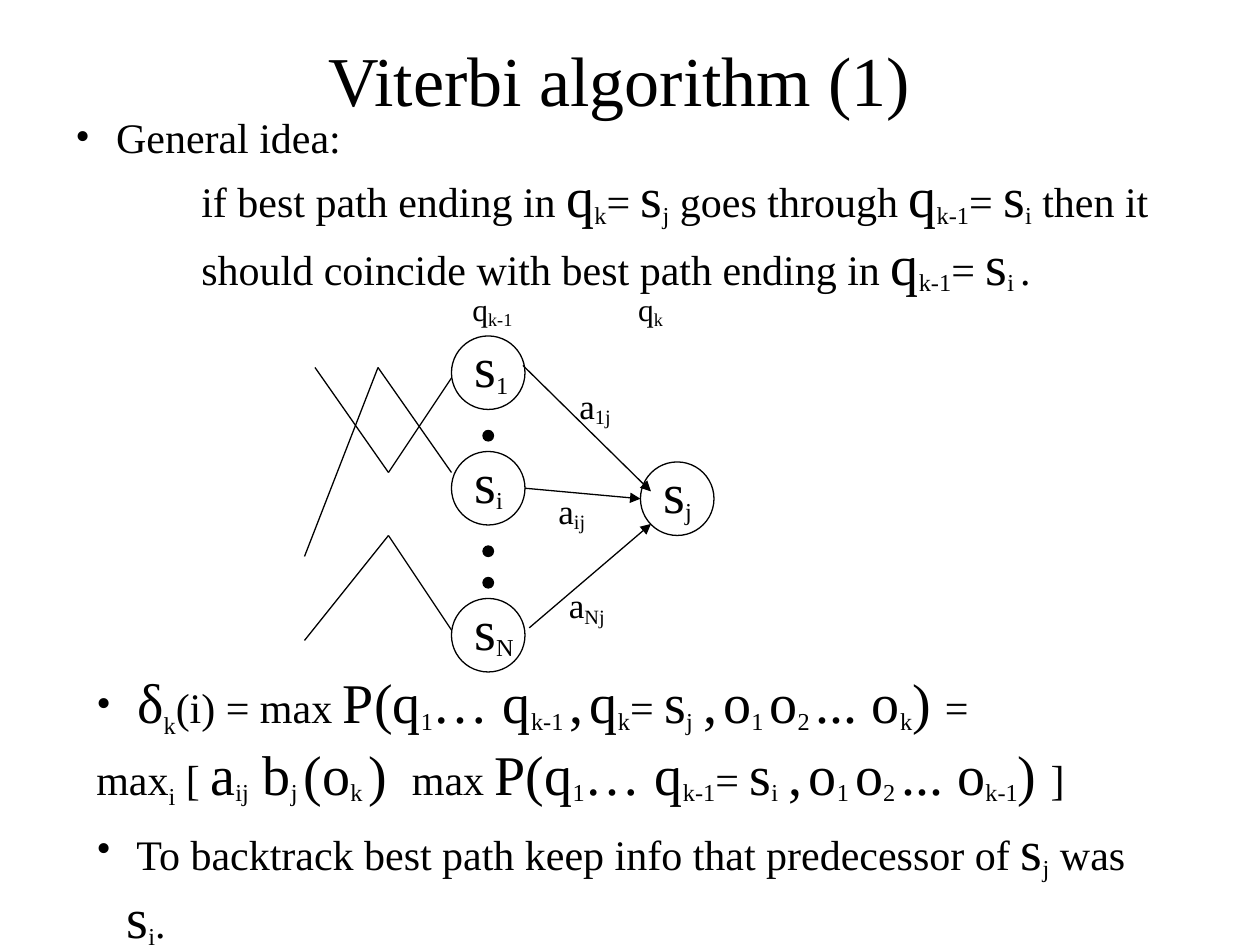
from pptx import Presentation
from pptx.dml.color import RGBColor
from pptx.enum.shapes import MSO_CONNECTOR, MSO_SHAPE
from pptx.enum.text import MSO_ANCHOR, PP_ALIGN
from pptx.oxml.ns import qn
from pptx.util import Inches, Pt
from lxml.etree import SubElement

deck = Presentation()
deck.slide_width, deck.slide_height = Inches(10), Inches(7.5)
slide = deck.slides.add_slide(deck.slide_layouts[6])
shapes = slide.shapes
unit = deck.slide_width / 120
hues = {"ink": "000000"}
ink = RGBColor.from_string(hues["ink"])
face = "Times New Roman"
marks = {"^": (32, 0), "_": (None, -16), "~": (None, -25)}
indents = {"•": (0.24, -0.24), ">": (1, 0)}


def grid(*cells):
    return [round(cell * unit) for cell in cells]


def write(box, lines, size=24, wrap=True):
    frame = shapes.add_textbox(*grid(*box)).text_frame
    frame.word_wrap = wrap
    for row, line in enumerate(lines):
        para = frame.add_paragraph() if row else frame.paragraphs[0]
        para.font.name = face
        para.font.color.rgb = ink
        if line[0] in indents:
            left, first = indents[line[0]]
            props = para._p.get_or_add_pPr()
            props.set("marL", str(Inches(left)))
            props.set("indent", str(Inches(first)))
            if line[0] == "•":
                font = SubElement(props, qn("a:buFont"))
                font.set("typeface", face)
                bullet = SubElement(props, qn("a:buChar"))
                bullet.set("char", "•")
                props.insert(0, font)
                props.insert(1, bullet)
            line = line[1:]
        for part in line.split("|"):
            big, drop = marks.get(part[0], (None, 0))
            run = para.add_run()
            run.text = part[1:] if part[0] in marks else part
            run.font.size = Pt(big or size)
            if drop:
                run.font._element.set("baseline", str(drop * 1000))
    return frame


write((6, 10, 109.2, 18.8), [
    "• General idea:",
    ">if best path ending in |^q|_k|= |^s|_j| goes through |^q|_k-1|= |^s|_i| then it "
    "should coincide with best path ending in |^q|_k-1|= |^s|_i |.",
])

states = [(43, 32, 5.9, "1"), (43, 43, 5.3, "i"), (43, 57, 6.4, "N"), (61, 44, 5.3, "j")]
rings = [(x, y, 7) for x, y, wide, sub in states]
dots = [(46, y, 1) for y in (41, 52, 55)]
for x, y, side in rings + dots:
    disc = shapes.add_shape(MSO_SHAPE.OVAL, *grid(x, y, side, side))
    disc.shadow.inherit = False
    disc.line.color.rgb = ink
    disc.line.width = Pt(0.75)
    if side == 1:
        disc.fill.solid()
        disc.fill.fore_color.rgb = ink
    else:
        disc.fill.background()
for x, y, wide, sub in states:
    write((x + 1, y - 1, wide, 7.6), [f"^s|_{sub}"], wrap=False)

arrows = [(49.8, 34.8, 62, 46.8), (50, 46.5, 61, 47.5), (50.4, 59.8, 62, 49.9)]
paths = [
    [(43, 36), (37, 45), (30, 35)],
    [(43, 45), (36, 35), (29, 53)],
    [(43, 60), (37, 51), (29, 61)],
]
edges = [(*start, *end) for path in paths for start, end in zip(path, path[1:])]
for ends in arrows + edges:
    edge = shapes.add_connector(MSO_CONNECTOR.STRAIGHT, *grid(*ends))
    edge.line.color.rgb = ink
    edge.line.width = Pt(0.75)
    props = edge._element.spPr
    if ends in arrows:
        SubElement(props.find(qn("a:ln")), qn("a:tailEnd")).set("type", "triangle")
    SubElement(props, qn("a:effectLst"))

for x, y, wide, sub in [(52, 46, 5.2, "ij"), (53, 55, 6.1, "Nj"), (54, 36, 5.6, "1j")]:
    write((x, y, wide, 5.2), [f"a|_{sub}"], 20, False)
for x, sub in [(43.8, "k-1"), (59.6, "k")]:
    write((x, 27, 10, 4.8), [f"q|_{sub}"], 18)

write((8, 63, 108, 14), [
    "• |^δ|~k|(i) = max |^P(q|_1|^… q|_k-1 |^,|_ |^q|_k|= |^s|_j| |^,|_ "
    "|^o|_1 |^o|_2 |^... o|_k|^) |=",
    "max|~i| [ |^a|_ij|^ b|_j |^(o|_k |^) | max |^P(q|_1|^… q|_k-1|= |^s|_i| |^,|_ "
    "|^o|_1 |^o|_2 |^... o|_k-1|^) |]",
])
write((8, 77, 104.2, 7.6), [
    "• To backtrack best path keep info that predecessor of |^s|_j| was |^s|_i|."
])

title = write((8, 0, 102, 15), ["Viterbi algorithm (1)"], 40)
title.vertical_anchor = MSO_ANCHOR.MIDDLE
title.paragraphs[0].alignment = PP_ALIGN.CENTER

deck.save("out.pptx")
